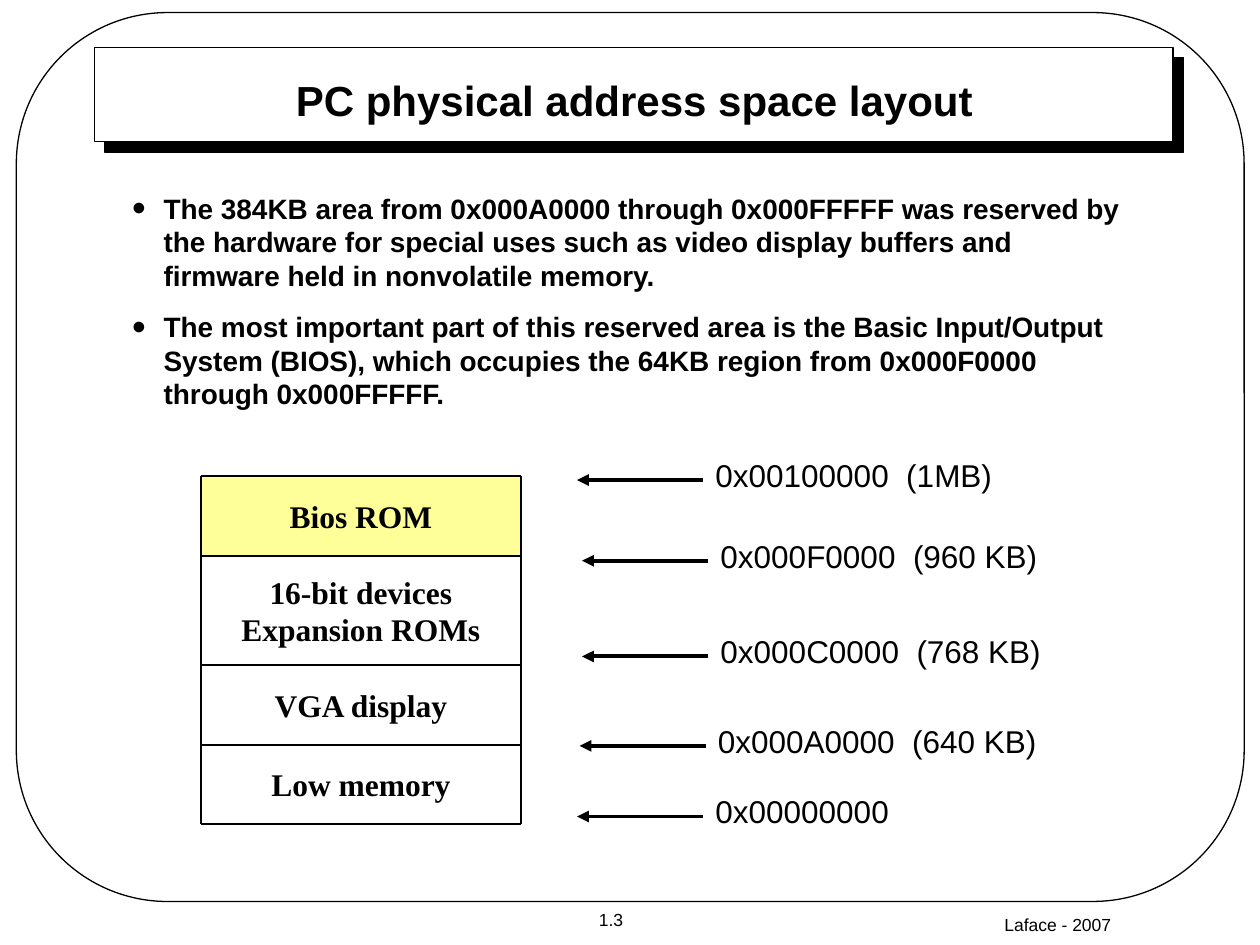
from dataclasses import dataclass
from itertools import accumulate

from lxml.etree import SubElement
from pptx import Presentation
from pptx.dml.color import RGBColor
from pptx.enum.shapes import MSO_CONNECTOR, MSO_SHAPE
from pptx.enum.text import MSO_ANCHOR, MSO_AUTO_SIZE, PP_ALIGN
from pptx.oxml.ns import qn
from pptx.util import Emu, Inches, Pt

COLORS = {"ink": "000000", "paper": "FFFFFF", "bios": "FFFF99"}
WIDTH, HEIGHT = Inches(10), Inches(7.5)
COLUMNS, ROWS = 100, 75
MAP_LEFT, MAP_TOP, MAP_COLUMNS = 15.95, 37.8, 25.4


@dataclass(frozen=True)
class Box:
    """A rectangle in grid columns and rows."""
    column: float
    row: float
    columns: float
    rows: float


@dataclass(frozen=True)
class Style:
    """The look of a block of text."""
    size: float
    font: str = "Arial"
    bold: bool = False
    align: PP_ALIGN = PP_ALIGN.LEFT
    anchor: MSO_ANCHOR = MSO_ANCHOR.TOP
    gap: float = 0
    bullet: bool = False


@dataclass(frozen=True)
class Region:
    """A region of memory and its height in rows."""
    lines: tuple[str, ...]
    rows: float
    fill: str | None = None


@dataclass(frozen=True)
class Address:
    """An address label and the tip of its arrow."""
    text: str
    column: float
    row: float


TITLE = Style(24, bold=True, align=PP_ALIGN.CENTER, anchor=MSO_ANCHOR.MIDDLE)
BODY = Style(16, bold=True, gap=10, bullet=True)
REGION = Style(18, "Times New Roman", True, PP_ALIGN.CENTER, MSO_ANCHOR.MIDDLE)
ADDRESS = Style(18)
FOOTER = Style(10, align=PP_ALIGN.CENTER)
PAGE = Style(10, align=PP_ALIGN.CENTER, anchor=MSO_ANCHOR.MIDDLE)

POINTS = (
    "The 384KB area from 0x000A0000 through 0x000FFFFF was reserved by the hardware "
    "for special uses such as video display buffers and firmware held in nonvolatile memory.",
    "The most important part of this reserved area is the Basic Input/Output System "
    "(BIOS), which occupies the 64KB region from 0x000F0000 through 0x000FFFFF.",
)
REGIONS = (
    Region(("Bios ROM",), 6.3, "bios"),
    Region(("16-bit devices", "Expansion ROMs"), 8.7),
    Region(("VGA display",), 6.3),
    Region(("Low memory",), 6.3),
)
ADDRESSES = (
    Address("0x00100000  (1MB)", 45.8, 38.1),
    Address("0x000F0000  (960 KB)", 46.2, 44.5),
    Address("0x000C0000  (768 KB)", 46.2, 52.1),
    Address("0x000A0000  (640 KB)", 46, 59.2),
    Address("0x00000000", 45.8, 64.8),
)


def across(columns: float) -> Emu:
    """Turn grid columns into a length."""
    return Emu(round(WIDTH * columns / COLUMNS))


def down(rows: float) -> Emu:
    """Turn grid rows into a length."""
    return Emu(round(HEIGHT * rows / ROWS))


def place(box: Box) -> tuple[Emu, Emu, Emu, Emu]:
    """Give left, top, width and height of a box."""
    return across(box.column), down(box.row), across(box.columns), down(box.rows)


def color(name: str) -> RGBColor:
    """Look up a colour by name."""
    return RGBColor.from_string(COLORS[name])


def add_bullet(paragraph) -> None:
    """Give a paragraph a large round bullet and a hanging indent."""
    properties = paragraph._p.get_or_add_pPr()
    properties.set("marL", str(Inches(0.25)))
    properties.set("indent", str(-Inches(0.25)))
    SubElement(properties, qn("a:buSzPct"), val="140000")
    SubElement(properties, qn("a:buFont"), typeface="Arial")
    SubElement(properties, qn("a:buChar"), char="•")


def write(shape, lines: tuple[str, ...], style: Style) -> None:
    """Write one paragraph per line into a shape."""
    frame = shape.text_frame
    frame.word_wrap = True
    frame.auto_size = MSO_AUTO_SIZE.NONE
    frame.vertical_anchor = style.anchor
    frame.margin_left = frame.margin_right = Inches(0.1)
    frame.margin_top = frame.margin_bottom = Inches(0.05)
    for index, line in enumerate(lines):
        paragraph = frame.add_paragraph() if index else frame.paragraphs[0]
        if style.bullet:
            add_bullet(paragraph)
        paragraph.alignment = style.align
        paragraph.space_before = Pt(style.gap if index else 0)
        run = paragraph.add_run()
        run.text = line
        run.font.name = style.font
        run.font.size = Pt(style.size)
        run.font.bold = style.bold
        run.font.color.rgb = color("ink")


def add_text(slide, box: Box, lines: tuple[str, ...], style: Style) -> None:
    """Add a text box."""
    write(slide.shapes.add_textbox(*place(box)), lines, style)


def add_panel(slide, kind: MSO_SHAPE, box: Box, weight: float = 0, fill: str | None = None):
    """Add a shape with an optional black outline and fill."""
    shape = slide.shapes.add_shape(kind, *place(box))
    shape.shadow.inherit = False
    if weight:
        shape.line.color.rgb = color("ink")
        shape.line.width = Pt(weight)
    else:
        shape.line.fill.background()
    if fill:
        shape.fill.solid()
        shape.fill.fore_color.rgb = color(fill)
    else:
        shape.fill.background()
    return shape


def add_hard_shadow(shape) -> None:
    """Cast a solid shadow to the lower right."""
    effects = shape.element.spPr.find(qn("a:effectLst"))
    shadow = SubElement(effects, qn("a:outerShdw"), dist=str(Pt(8.5)), dir="2700000",
                        algn="ctr", rotWithShape="0")
    SubElement(shadow, qn("a:srgbClr"), val=COLORS["ink"])


def add_line(slide, start: tuple[float, float], end: tuple[float, float], weight: float,
             arrow: bool = False) -> None:
    """Add a black line between two grid points."""
    line = slide.shapes.add_connector(
        MSO_CONNECTOR.STRAIGHT, across(start[0]), down(start[1]), across(end[0]), down(end[1]))
    line.line.color.rgb = color("ink")
    line.line.width = Pt(weight)
    if arrow:
        SubElement(line.line._get_or_add_ln(), qn("a:tailEnd"), type="triangle")
    SubElement(line.element.spPr, qn("a:effectLst"))


def add_address(slide, address: Address) -> None:
    """Add an arrow pointing left and the address beside it."""
    start = address.column + 10
    add_line(slide, (start, address.row), (address.column, address.row), 2.25, arrow=True)
    add_text(slide, Box(start, address.row - 2.4, 33.7, 4), (address.text,), ADDRESS)


def add_memory_map(slide) -> None:
    """Stack the memory regions and rule the lines around them."""
    edges = list(accumulate((region.rows for region in REGIONS), initial=MAP_TOP))
    for region, top in zip(REGIONS, edges):
        box = Box(MAP_LEFT, top, MAP_COLUMNS, region.rows)
        write(add_panel(slide, MSO_SHAPE.RECTANGLE, box, fill=region.fill), region.lines, REGION)
    right = MAP_LEFT + MAP_COLUMNS
    for edge in edges:
        add_line(slide, (MAP_LEFT, edge), (right, edge), 1)
    for side in (MAP_LEFT, right):
        add_line(slide, (side, edges[0]), (side, edges[-1]), 1)


def main() -> None:
    """Build the slide and save it."""
    presentation = Presentation()
    presentation.slide_width, presentation.slide_height = WIDTH, HEIGHT
    slide = presentation.slides.add_slide(presentation.slide_layouts[5])
    banner = add_panel(slide, MSO_SHAPE.RECTANGLE, Box(7.5, 3.75, 85.6, 7.5), 0.75, "paper")
    add_hard_shadow(banner)
    add_text(slide, Box(68.1, 72.05, 31.7, 3.5), ("Laface - 2007",), FOOTER)
    border = add_panel(slide, MSO_SHAPE.ROUNDED_RECTANGLE, Box(1.3, 1, 97.45, 70.55), 0.75)
    border.adjustments[0] = 0.17
    add_text(slide, Box(43.8, 71.6, 9.4, 2.7), ("1.3",), PAGE)
    title = slide.shapes.title
    title.left, title.top, title.width, title.height = place(Box(12.7, 5.4, 75.3, 5))
    write(title, ("PC physical address space layout",), TITLE)
    border.element.addnext(title.element)
    add_text(slide, Box(9.5, 14.7, 81.1, 51.7), POINTS, BODY)
    for address in ADDRESSES:
        add_address(slide, address)
    add_memory_map(slide)
    presentation.save("out.pptx")


if __name__ == "__main__":
    main()
